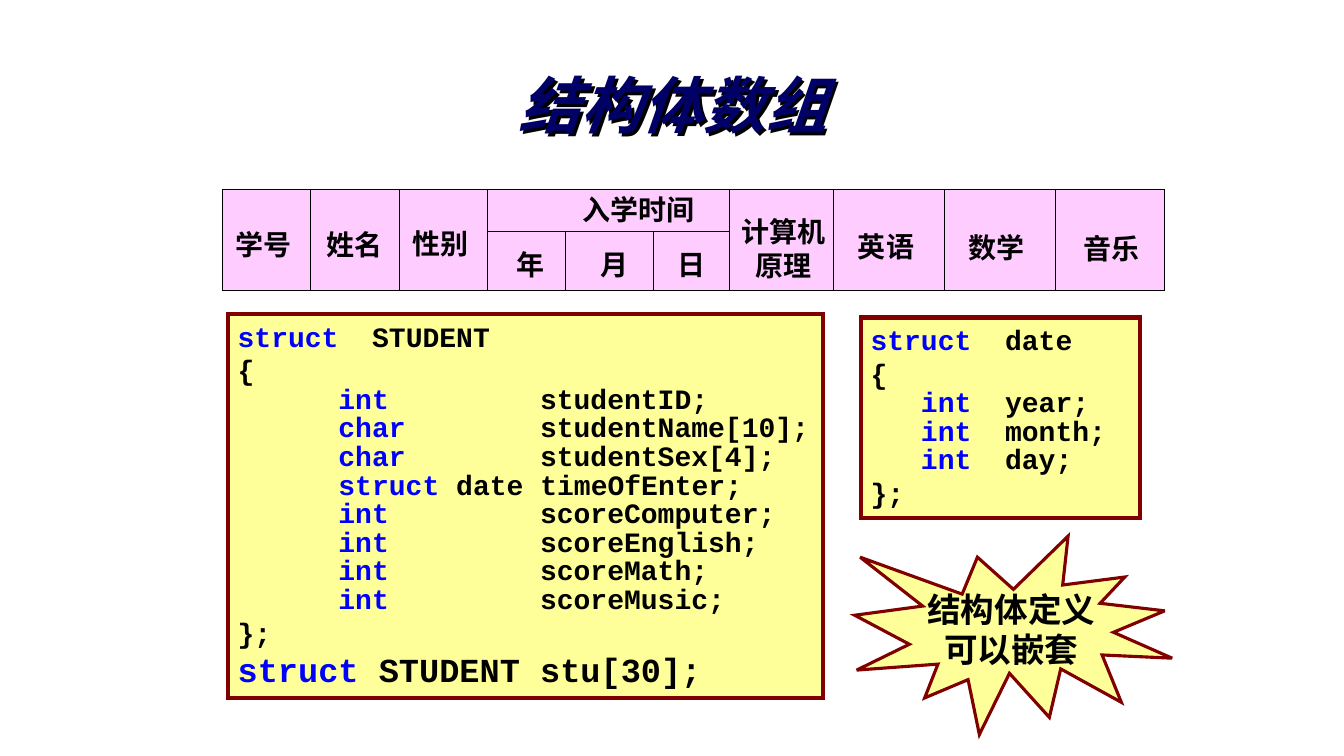
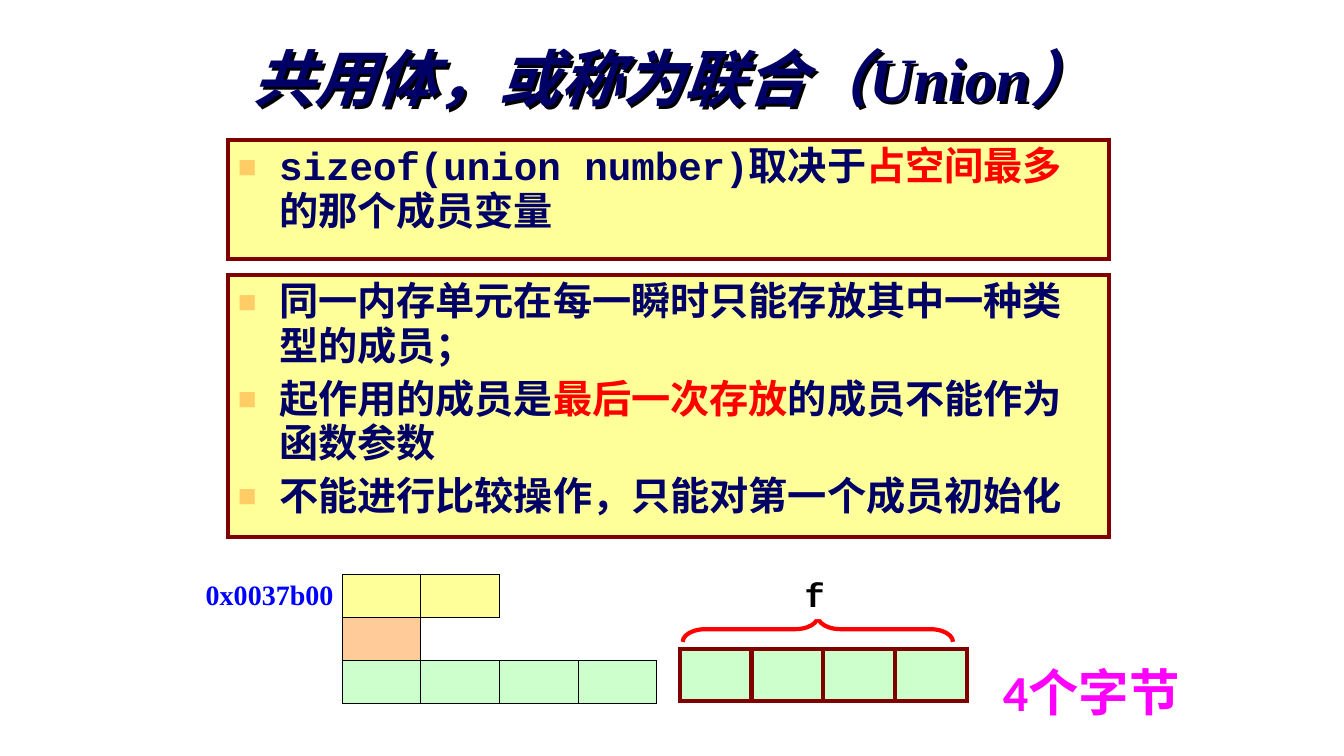
"""Build two slides on C structures and unions."""
from pptx import Presentation
from pptx.dml.color import RGBColor
from pptx.enum.shapes import MSO_CONNECTOR, MSO_SHAPE
from pptx.enum.text import MSO_ANCHOR, MSO_AUTO_SIZE, PP_ALIGN
from pptx.oxml import parse_xml
from pptx.oxml.ns import nsdecls, qn
from pptx.util import Cm, Pt

RECTANGLE, BURST, BRACE = MSO_SHAPE.RECTANGLE, MSO_SHAPE.EXPLOSION1, MSO_SHAPE.LEFT_BRACE
STRAIGHT = MSO_CONNECTOR.STRAIGHT
LEFT, CENTER = PP_ALIGN.LEFT, PP_ALIGN.CENTER
TOP, MIDDLE = MSO_ANCHOR.TOP, MSO_ANCHOR.MIDDLE

BLACK = RGBColor(0x00, 0x00, 0x00)
WHITE = RGBColor(0xFF, 0xFF, 0xFF)
NAVY = RGBColor(0x00, 0x00, 0x66)
BLUE = RGBColor(0x00, 0x00, 0xFF)
RED = RGBColor(0xFF, 0x00, 0x00)
MAROON = RGBColor(0x80, 0x00, 0x00)
MAGENTA = RGBColor(0xFF, 0x00, 0xFF)
YELLOW = RGBColor(0xFF, 0xFF, 0x99)
PEACH = RGBColor(0xFF, 0xCC, 0x99)
GREEN = RGBColor(0xCC, 0xFF, 0xCC)
PINK = RGBColor(0xFF, 0xCC, 0xFF)
ORANGE = RGBColor(0xFF, 0xCC, 0x66)

SERIF, MONO, SANS = "Times New Roman", "Courier New", "Calibri"
A = nsdecls("a")
SHADOW = (f'<a:effectLst {A}><a:outerShdw dist="35921" dir="2700000" algn="ctr">'
          '<a:srgbClr val="000000"/></a:outerShdw></a:effectLst>')
BULLET = (f'<a:buClr {A}><a:srgbClr val="{ORANGE}"/></a:buClr>',
          f'<a:buSzPct {A} val="80000"/>', f'<a:buChar {A} char="■"/>')


def write(frame, text, size=20, color=BLACK, accent=BLUE, font=SERIF, accent_font=None,
          align=CENTER, spacing=1.0, bullet=False, tabs=(), italic=False):
    """Add a paragraph; text between bars takes the accent colour."""
    para = frame.add_paragraph() if frame.text else frame.paragraphs[0]
    para.alignment, para.line_spacing = align, spacing
    layout = para._p.get_or_add_pPr()
    if bullet:
        para.space_before = Pt(5.6)
        layout.set("marL", str(Cm(1.04)))
        layout.set("indent", str(-Cm(1.04)))
        for part in BULLET:
            layout.append(parse_xml(part))
    if tabs:
        stops = "".join(f'<a:tab pos="{Cm(stop)}" algn="l"/>' for stop in tabs)
        layout.append(parse_xml(f"<a:tabLst {A}>{stops}</a:tabLst>"))
    for index, piece in enumerate(text.split("|")):
        if not piece:
            continue
        marked = index % 2 == 1
        span = para.add_run()
        span.text = piece
        span.font.size, span.font.bold, span.font.italic = Pt(size), True, italic
        span.font.color.rgb = accent if marked else color
        span.font.name = accent_font if marked and accent_font else font


def draw(page, kind, left, top, width, height, fill=None, line=BLACK, weight=0.75):
    """Add a preset shape with a plain fill and outline."""
    shape = page.shapes.add_shape(kind, Cm(left), Cm(top), Cm(width), Cm(height))
    shape.shadow.inherit = False
    if fill is None:
        shape.fill.background()
    else:
        shape.fill.solid()
        shape.fill.fore_color.rgb = fill
    shape.line.color.rgb, shape.line.width = line, Pt(weight)
    return shape


deck = Presentation()
deck.slide_width, deck.slide_height = Cm(33.87), Cm(19.05)

pages = []
for layout_number, heading, left, top, width in (
        (5, "结构体数组", 6.12, 1.6, 21.67),
        (3, "共用体，或称为联合（Union）", 5.74, 0.91, 22.4)):
    page = deck.slides.add_slide(deck.slide_layouts[layout_number])
    box = page.shapes.title
    box.left, box.top, box.width, box.height = Cm(left), Cm(top), Cm(width), Cm(2.34)
    box._element.spPr.append(parse_xml(SHADOW))
    frame = box.text_frame
    frame.vertical_anchor, frame.auto_size = MIDDLE, MSO_AUTO_SIZE.NONE
    frame.word_wrap = False
    frame.margin_left = frame.margin_right = 0
    write(frame, heading, size=44, color=NAVY, spacing=0.85, italic=True)
    pages.append(page)
struct_page, union_page = pages

header_top, header_split, header_bottom = 4.78, 5.84, 7.33
header_left, header_right = 5.61, 29.34
draw(struct_page, RECTANGLE, header_left, header_top, header_right - header_left,
     header_bottom - header_top, fill=PINK)
full_rules = [(x, header_top, x, header_bottom)
              for x in (7.82, 10.06, 12.29, 18.39, 21.01, 23.8, 26.59)]
date_rules = [(x, header_split, x, header_bottom) for x in (14.25, 16.46)]
for x1, y1, x2, y2 in full_rules + date_rules + [(12.29, header_split, 18.39, header_split)]:
    rule = struct_page.shapes.add_connector(STRAIGHT, Cm(x1), Cm(y1), Cm(x2), Cm(y2))
    rule.line.color.rgb, rule.line.width = BLACK, Pt(0.75)
    rule._element.spPr.append(parse_xml(f"<a:effectLst {A}/>"))

for label, middle, top in (
        ("学号", 6.64, 5.61), ("姓名", 8.94, 5.61), ("性别", 11.1, 5.59),
        ("入学时间", 16.1, 4.72), ("年", 13.36, 6.12), ("月", 15.49, 6.12),
        ("日", 17.42, 6.12), ("计算机\n原理", 19.74, 5.28), ("英语", 22.33, 5.66),
        ("数学", 25.12, 5.69), ("音乐", 28.02, 5.72)):
    lines = label.split("\n")
    width = 0.5 + 0.71 * len(lines[0])
    box = struct_page.shapes.add_textbox(Cm(middle - width / 2), Cm(top), Cm(width),
                                         Cm(0.24 + 0.85 * len(lines)))
    box.text_frame.word_wrap = False
    for text in lines:
        write(box.text_frame, text)

student_fields = ("|int|\tstudentID;", "|char|\tstudentName[10];", "|char|\tstudentSex[4];",
                  "|struct| date timeOfEnter;", "|int|\tscoreComputer;",
                  "|int|\tscoreEnglish;", "|int|\tscoreMath;", "|int|\tscoreMusic;")
date_fields = ("|int|\tyear;", "|int|\tmonth;", "|int|\tday;")
code_frames = []
for name, fields, tabs, area in (
        ("STUDENT", student_fields, (2.54, 7.62), (5.74, 7.92, 15.01, 9.68)),
        ("date", date_fields, (1.27, 3.39), (21.69, 8, 7.04, 5.05))):
    frame = draw(struct_page, RECTANGLE, *area, fill=YELLOW, line=MAROON, weight=3).text_frame
    frame.word_wrap, frame.vertical_anchor, frame.margin_right = True, TOP, 0
    write(frame, f"|struct|\t{name}", font=MONO, align=LEFT, tabs=(3.39,))
    write(frame, "{", font=MONO, align=LEFT)
    for field in fields:
        write(frame, "\t" + field, font=MONO, align=LEFT, spacing=0.85, tabs=tabs)
    write(frame, "};", font=MONO, align=LEFT)
    code_frames.append(frame)
write(code_frames[0], "|struct| STUDENT stu[30];", size=24, font=MONO, align=LEFT)

burst = draw(struct_page, BURST, 21.54, 13.51, 8, 5, fill=YELLOW, line=MAROON, weight=2.25)
burst.text_frame.word_wrap = False
burst.text_frame.vertical_anchor = MIDDLE
for text in ("结构体定义", "可以嵌套"):
    write(burst.text_frame, text, size=24)

size_rule = ("sizeof(union number)取决于|占空间最多|的那个成员变量",)
member_rules = ("同一内存单元在每一瞬时只能存放其中一种类型的成员；",
                "起作用的成员是|最后一次存放|的成员不能作为函数参数",
                "不能进行比较操作，只能对第一个成员初始化")
for number, rules, font, top, height in ((1, size_rule, MONO, 3.53, 3),
                                         (2, member_rules, SERIF, 6.93, 6.6)):
    box = union_page.placeholders[number]
    box.left, box.top, box.width, box.height = Cm(5.74), Cm(top), Cm(22.2), Cm(height)
    box.fill.solid()
    box.fill.fore_color.rgb = YELLOW
    box.line.color.rgb, box.line.width = MAROON, Pt(3)
    box.text_frame.auto_size = MSO_AUTO_SIZE.NONE
    for rule in rules:
        write(box.text_frame, rule, size=28, color=NAVY, accent=RED, font=font,
              accent_font=SERIF, align=LEFT, spacing=0.95, bullet=True)

for row, (count, fill) in enumerate(((2, YELLOW), (1, PEACH), (4, GREEN))):
    for column in range(count):
        draw(union_page, RECTANGLE, 8.63 + 1.98 * column, 14.48 + 1.08 * row, 1.98, 1.08,
             fill=fill)
for column in range(4):
    draw(union_page, RECTANGLE, 17.13 + 1.81 * column, 16.36, 1.81, 1.3,
         fill=GREEN, line=MAROON, weight=3)
brace = draw(union_page, BRACE, 20.29, 12.45, 0.64, 6.81, line=RED, weight=3)
brace.rotation = 90
brace.adjustments[0] = 0.89

for text, left, top, width, height, size, color, font, fill in (
        ("0x0037b00", 4.93, 14.43, 3.73, 1.12, 20, BLUE, SERIF, None),
        ("f", 19.53, 14.33, 2, 1.27, 24, BLACK, MONO, WHITE),
        ("4个字节", 24.8, 16.54, 5.4, 1, 36, MAGENTA, SANS, None)):
    box = union_page.shapes.add_textbox(Cm(left), Cm(top), Cm(width), Cm(height))
    box.text_frame.word_wrap = False
    if fill is not None:
        box.fill.solid()
        box.fill.fore_color.rgb = fill
    write(box.text_frame, text, size=size, color=color, font=font)

for page in pages:
    for outline in page.element.iter(qn("a:ln")):
        outline.append(parse_xml(f'<a:miter {A} lim="800000"/>'))

deck.save("out.pptx")
